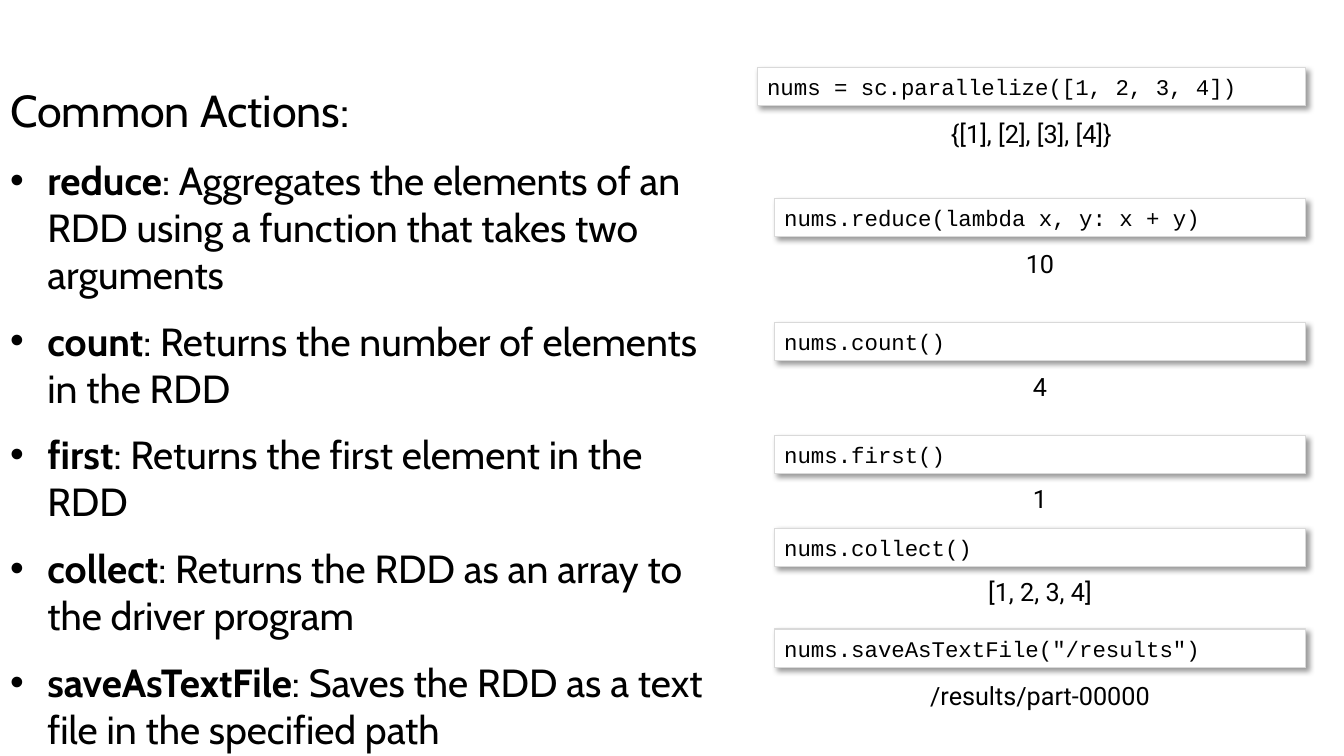
import pptx
import pptx.util
import pptx.dml.color
import pptx.enum.shapes
import pptx.enum.text
from dataclasses import dataclass
from lxml import etree
from pptx.oxml.ns import qn

Inches = pptx.util.Inches
Pt = pptx.util.Pt
Align = pptx.enum.text.PP_ALIGN


@dataclass(frozen=True)
class Theme:
    ink: str = "000000"
    paper: str = "FFFFFF"
    edge: str = "D9D9D9"
    prose: str = "Cabin"
    code: str = "Courier New"
    plain: str = "Roboto"
    head: int = 32
    item: int = 28
    out: int = 18
    call: int = 16
    gap: int = 14


THEME = Theme()
RIGHT = 12.95

ACTIONS = [
    ("reduce", "Aggregates the elements of an RDD using a function that takes two arguments"),
    ("count", "Returns the number of elements in the RDD"),
    ("first", "Returns the first element in the RDD"),
    ("collect", "Returns the RDD as an array to the driver program"),
    ("saveAsTextFile", "Saves the RDD as a text file in the specified path"),
]

# left, top of call, top of result, call, result
SAMPLES = [
    (7.51, 0.67, 1.12, "nums = sc.parallelize([1, 2, 3, 4])", "{[1], [2], [3], [4]}"),
    (7.68, 1.97, 2.41, "nums.reduce(lambda x, y: x + y)", "10"),
    (7.68, 3.2, 3.63, "nums.count()", "4"),
    (7.68, 4.32, 4.75, "nums.first()", "1"),
    (7.68, 5.24, 5.67, "nums.collect()", "[1, 2, 3, 4]"),
    (7.68, 6.24, 6.7, 'nums.saveAsTextFile("/results")', "/results/part-00000"),
]


def rgb(hue):
    return pptx.dml.color.RGBColor.from_string(hue)


def style(run, face, size, bold=False):
    run.font.name = face
    run.font.size = Pt(size)
    run.font.bold = bold
    run.font.color.rgb = rgb(THEME.ink)


def indent(para, depth, mark=None):
    """Set a hanging indent, with a bullet if a mark is given."""
    props = para._p.get_or_add_pPr()
    props.set("marL", str(Inches(depth)))
    props.set("indent", str(-Inches(depth)))
    if mark:
        font = etree.SubElement(props, qn("a:buFont"))
        font.set("typeface", "Arial")
        etree.SubElement(props, qn("a:buChar")).set("char", mark)
    else:
        etree.SubElement(props, qn("a:buNone"))


def shade(shape):
    shape.shadow.inherit = False
    glow = shape._element.spPr.find(qn("a:effectLst"))
    drop = etree.SubElement(glow, qn("a:outerShdw"), blurRad=str(Pt(4)),
                            dist=str(Pt(3)), dir=str(45 * 60000),
                            algn="tl", rotWithShape="0")
    tint = etree.SubElement(drop, qn("a:srgbClr"), val=THEME.ink)
    etree.SubElement(tint, qn("a:alpha"), val="40000")


def fill_line(frame, text, face, size, align):
    frame.word_wrap = True
    frame.text = text
    para = frame.paragraphs[0]
    para.alignment = align
    style(para.runs[0], face, size)


def add_call(slide, left, top, text):
    box = slide.shapes.add_shape(
        pptx.enum.shapes.MSO_SHAPE.RECTANGLE, Inches(left), Inches(top),
        Inches(RIGHT - left), Inches(0.38))
    box.fill.solid()
    box.fill.fore_color.rgb = rgb(THEME.paper)
    box.line.color.rgb = rgb(THEME.edge)
    box.line.width = Pt(0.75)
    shade(box)
    box.text_frame.vertical_anchor = pptx.enum.text.MSO_ANCHOR.MIDDLE
    fill_line(box.text_frame, text, THEME.code, THEME.call, Align.LEFT)


def add_result(slide, left, top, text):
    box = slide.shapes.add_textbox(
        Inches(left), Inches(top), Inches(RIGHT - left), Inches(0.4))
    fill_line(box.text_frame, text, THEME.plain, THEME.out, Align.CENTER)


def fill_body(body):
    body.left, body.top = Inches(0), Inches(0.77)
    body.width, body.height = Inches(7.21), Inches(6.22)
    frame = body.text_frame
    frame.word_wrap = True
    frame.auto_size = pptx.enum.text.MSO_AUTO_SIZE.NONE
    frame.vertical_anchor = pptx.enum.text.MSO_ANCHOR.TOP
    frame.text = "Common Actions:"
    head = frame.paragraphs[0]
    head.space_before = Pt(THEME.gap)
    indent(head, 0)
    style(head.runs[0], THEME.prose, THEME.head)
    for name, note in ACTIONS:
        para = frame.add_paragraph()
        para.space_before = Pt(THEME.gap)
        indent(para, 0.37, "•")
        for text, bold in ((name, True), (f": {note}", False)):
            run = para.add_run()
            run.text = text
            style(run, THEME.prose, THEME.item, bold)


def main():
    deck = pptx.Presentation()
    deck.slide_width, deck.slide_height = Inches(13.33), Inches(7.5)
    slide = deck.slides.add_slide(deck.slide_layouts.get_by_name("Title and Content"))
    title = slide.shapes.title._element
    title.getparent().remove(title)
    fill_body(slide.placeholders[1])
    for left, top, low, call, result in SAMPLES:
        add_call(slide, left, top, call)
        add_result(slide, left, low, result)
    deck.save("out.pptx")


if __name__ == "__main__":
    main()
